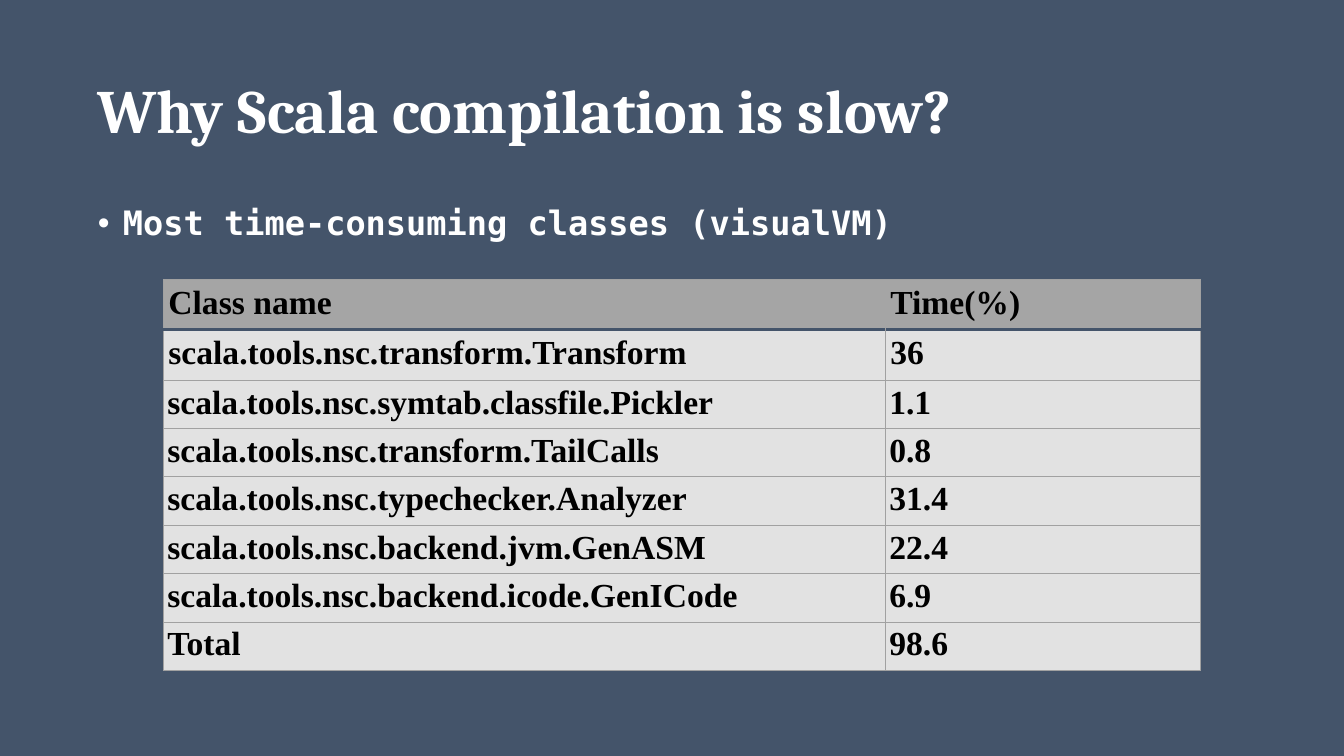
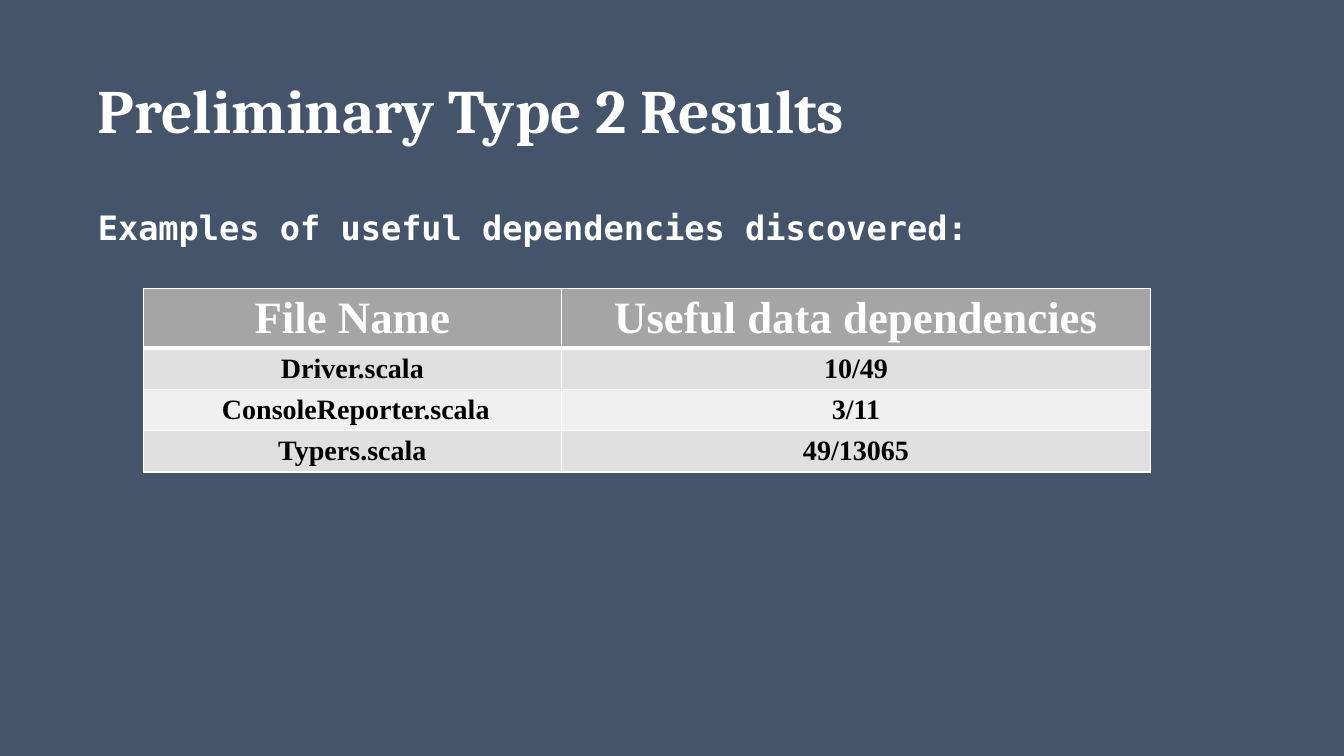
from lxml.etree import SubElement as Sub
from pptx import Presentation
from pptx.dml.color import RGBColor as Rgb
from pptx.enum.text import MSO_ANCHOR as Anchor, MSO_AUTO_SIZE as Auto, PP_ALIGN as Align
from pptx.oxml import parse_xml
from pptx.oxml.ns import nsdecls, qn
from pptx.util import Inches, Pt

HUES = {
    "back": "44546A", "white": "FFFFFF", "black": "000000", "head": "A5A5A5",
    "rule": "A1A1A1", "cell": "E2E2E2", "odd": "E0E0E0", "even": "F0F0F0",
}
SERIF, MONO, TIMES = "Cambria", "DejaVu Sans Mono", "Times New Roman"
LEFT, WIDE, PAD = 0.92, 11.5, 0.05

TIMES_ROWS = [
    ("Class name", "Time(%)"),
    ("scala.tools.nsc.transform.Transform", "36"),
    ("scala.tools.nsc.symtab.classfile.Pickler", "1.1"),
    ("scala.tools.nsc.transform.TailCalls", "0.8"),
    ("scala.tools.nsc.typechecker.Analyzer", "31.4"),
    ("scala.tools.nsc.backend.jvm.GenASM", "22.4"),
    ("scala.tools.nsc.backend.icode.GenICode", "6.9"),
    ("Total", "98.6"),
]
FILE_ROWS = [
    ("File Name", "Useful data dependencies"),
    ("Driver.scala", "10/49"),
    (" ConsoleReporter.scala", "3/11"),
    ("Typers.scala", "49/13065"),
]


def hue(name):
    """Return the named colour."""
    return Rgb.from_string(HUES[name])


def put_run(para, text, face, size, tone="white"):
    """Add one bold run to a paragraph."""
    run = para.add_run()
    run.text = text
    font = run.font
    font.name, font.size, font.bold = face, Pt(size), True
    font.color.rgb = hue(tone)


def set_pad(item, side, edge=PAD):
    """Set the margins of a text frame or a cell."""
    item.margin_left = item.margin_right = Inches(side)
    item.margin_top = item.margin_bottom = Inches(edge)


def add_page(deck, text):
    """Add a slide with its title."""
    page = deck.slides.add_slide(deck.slide_layouts[5])
    title = page.shapes.title
    title.left, title.top = Inches(LEFT), Inches(0.4)
    title.width, title.height = Inches(WIDE), Inches(1.45)
    frame = title.text_frame
    frame.auto_size, frame.word_wrap = Auto.NONE, True
    frame.vertical_anchor = Anchor.MIDDLE
    set_pad(frame, PAD)
    para = frame.paragraphs[0]
    para.alignment, para.line_spacing = Align.LEFT, 0.9
    put_run(para, text, SERIF, 44)
    return page


def add_note(page, text, wide, high, dot=False):
    """Add the line above the table, with a bullet if asked."""
    box = page.shapes.add_textbox(Inches(LEFT), Inches(2), Inches(wide), Inches(high))
    frame = box.text_frame
    frame.word_wrap = True
    set_pad(frame, PAD)
    para = frame.paragraphs[0]
    if dot:
        para.line_spacing = 0.9
        props = para._p.get_or_add_pPr()
        props.set("marL", str(Inches(0.25)))
        props.set("indent", str(Inches(-0.25)))
        Sub(props, qn("a:buFont"), typeface="Arial")
        Sub(props, qn("a:buChar"), char="•")
    put_run(para, text, MONO, 24)


def set_edges(cell, edges):
    """Draw cell borders from (side, colour, points) in L, R, T, B order."""
    props = cell._tc.get_or_add_tcPr()
    for spot, (side, tone, size) in enumerate(edges):
        paint = f'<a:solidFill><a:srgbClr val="{HUES[tone]}"/></a:solidFill>' if size else "<a:noFill/>"
        props.insert(spot, parse_xml(
            f'<a:ln{side} {nsdecls("a")} w="{Pt(size)}">{paint}</a:ln{side}>'))


def add_grid(page, rows, spot, cols, high):
    """Add a bare table and return it."""
    left, top = spot
    grid = page.shapes.add_table(
        len(rows), len(cols), Inches(left), Inches(top),
        Inches(sum(cols)), Inches(high * len(rows))).table
    grid.first_row = grid.horz_banding = False
    for col, wide in zip(grid.columns, cols):
        col.width = Inches(wide)
    for row in grid.rows:
        row.height = Inches(high)
    return grid


def fill_grid(grid, rows, style):
    """Write and format every cell by the rules of a style."""
    for i, row in enumerate(rows):
        for j, text in enumerate(row):
            cell = grid.cell(i, j)
            side, edge = style["pad"](i)
            set_pad(cell, side, edge)
            para = cell.text_frame.paragraphs[0]
            para.alignment = style["align"]
            size, tone = style["text"][min(i, 1)]
            put_run(para, text, TIMES, size, tone)
            cell.fill.solid()
            cell.fill.fore_color.rgb = hue(style["fill"](i))
            line, bar = style["line"], style["bar"]
            bare = (line[0], 0)
            inner = line if i or style["split"] else bare
            set_edges(cell, [
                ("L", *(inner if j else line)),
                ("R", *(line if j == len(row) - 1 else inner)),
                ("T", *(bar if i == 1 else line)),
                ("B", *(line if i else bar)),
            ])


CLASS_STYLE = {
    "pad": lambda i: (0.05, 0.05) if i < 2 else (0.04, 0.04),
    "align": Align.LEFT,
    "text": [(24, "black"), (24, "black")],
    "fill": lambda i: "cell" if i else "head",
    "line": ("rule", 0.75), "bar": ("back", 2), "split": False,
}
FILE_STYLE = {
    "pad": lambda i: (0.1, 0.05),
    "align": Align.CENTER,
    "text": [(32, "white"), (20, "black")],
    "fill": lambda i: ("odd" if i % 2 else "even") if i else "head",
    "line": ("white", 1), "bar": ("white", 3), "split": True,
}


def main():
    """Build and save the deck."""
    deck = Presentation()
    deck.slide_width, deck.slide_height = Inches(13.33), Inches(7.5)
    fill = deck.slide_master.background.fill
    fill.solid()
    fill.fore_color.rgb = hue("back")

    page = add_page(deck, "Why Scala compilation is slow?")
    add_note(page, "Most time-consuming classes (visualVM)", WIDE, 0.5, dot=True)
    grid = add_grid(page, TIMES_ROWS, (1.62, 2.77), (7.16, 3.13), 0.44)
    fill_grid(grid, TIMES_ROWS, CLASS_STYLE)

    page = add_page(deck, "Preliminary Type 2 Results")
    grid = add_grid(page, FILE_ROWS, (1.42, 2.86), (4.15, 5.84), 0.41)
    fill_grid(grid, FILE_ROWS, FILE_STYLE)
    add_note(page, "Examples of useful dependencies discovered:", 8.92, 0.5)

    deck.save("out.pptx")


if __name__ == "__main__":
    main()
